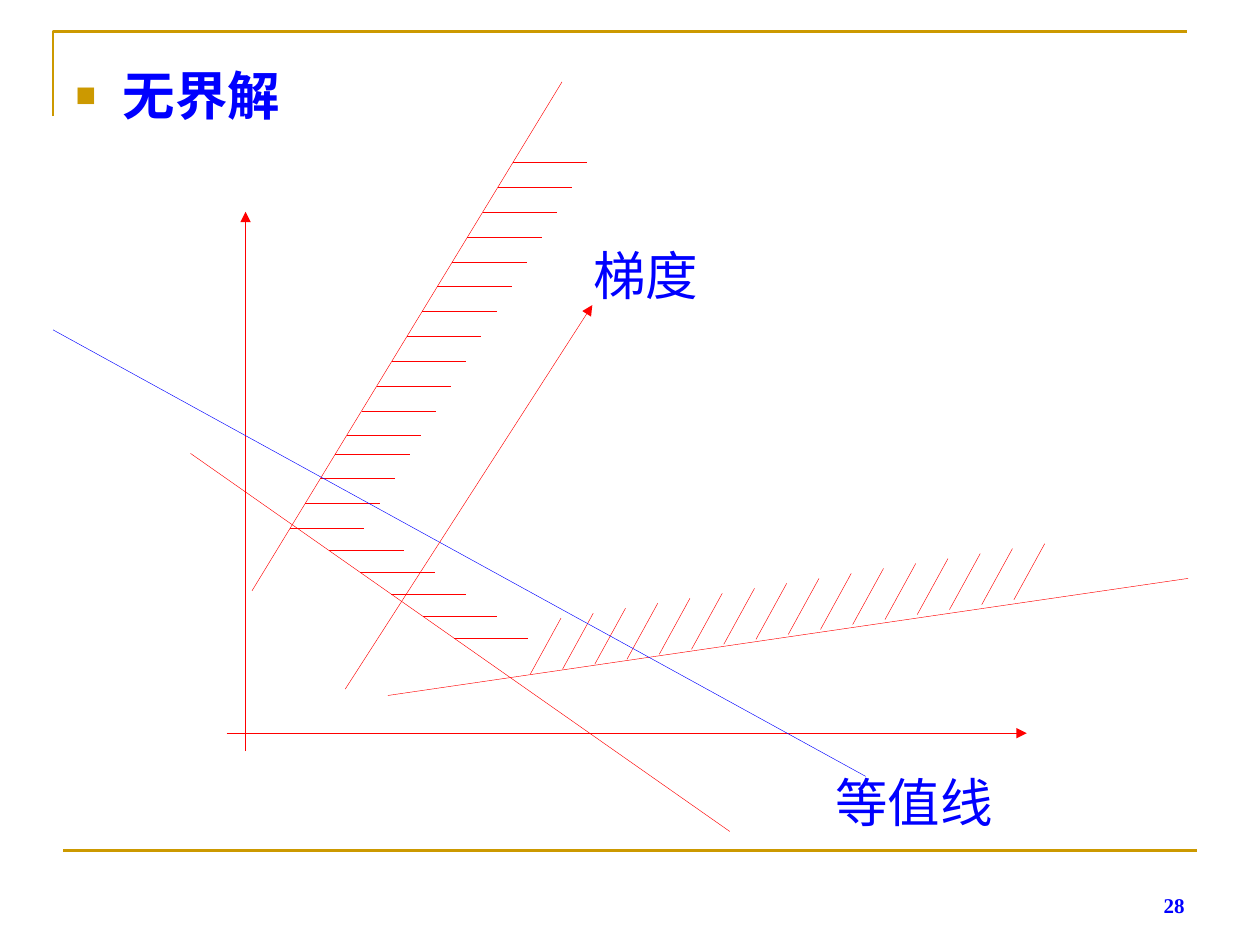
from lxml import etree
from pptx import Presentation
from pptx.dml.color import RGBColor
from pptx.enum import shapes, text
from pptx.oxml import ns
from pptx.util import Cm, Pt

GOLD = RGBColor(0xCC, 0x99, 0x00)
RED = RGBColor(0xFF, 0x00, 0x00)
BLUE = RGBColor(0x00, 0x00, 0xFF)


def add_line(start, end, color=RED, width=0.25, arrow=False):
    line = slide.shapes.add_connector(
        shapes.MSO_CONNECTOR.STRAIGHT, *[Cm(value) for value in (*start, *end)])
    line.line.color.rgb = color
    line.line.width = Pt(width)
    properties = line._element.spPr
    if arrow:
        outline = properties.find(ns.qn("a:ln"))
        etree.SubElement(outline, ns.qn("a:tailEnd"), type="triangle")
    etree.SubElement(properties, ns.qn("a:effectLst"))


def write_text(box, wording, place, size=30, font="Arial", bold=False,
               align=text.PP_ALIGN.LEFT, anchor=text.MSO_ANCHOR.TOP):
    box.left, box.top, box.width, box.height = [Cm(value) for value in place]
    frame = box.text_frame
    frame.text = wording
    frame.word_wrap = True
    frame.auto_size = text.MSO_AUTO_SIZE.NONE
    frame.vertical_anchor = anchor
    para = frame.paragraphs[0]
    para.alignment = align
    span = para.runs[0]
    span.font.name = font
    span.font.size = Pt(size)
    span.font.bold = bold
    span.font.color.rgb = BLUE


deck = Presentation()
deck.slide_width, deck.slide_height = Cm(25.4), Cm(19.05)
slide = deck.slides.add_slide(deck.slide_layouts[5])

builder = slide.shapes.build_freeform(Cm(1.07), Cm(2.34))
builder.add_line_segments([(Cm(1.07), Cm(0.64)), (Cm(23.93), Cm(0.64))], close=False)
corner = builder.convert_to_shape()
corner.shadow.inherit = False
corner.fill.background()
corner.line.color.rgb = GOLD
corner.line.width = Pt(1.5)
add_line((1.27, 17.15), (24.13, 17.15), GOLD, 1.5)

title = slide.shapes.title
write_text(title, "无界解", (1.27, 1.14, 22.86, 2.13), bold=True)
bullet = title.text_frame.paragraphs[0]._p.get_or_add_pPr()
bullet.set("marL", str(Cm(0.95)))
bullet.set("indent", str(-Cm(0.95)))
bullet_color = etree.SubElement(bullet, ns.qn("a:buClr"))
etree.SubElement(bullet_color, ns.qn("a:srgbClr"), val=str(GOLD))
etree.SubElement(bullet, ns.qn("a:buSzPct"), val="65000")
etree.SubElement(bullet, ns.qn("a:buFont"), typeface="Arial")
etree.SubElement(bullet, ns.qn("a:buChar"), char="■")

add_line((4.57, 14.78), (20.7, 14.78), arrow=True)
add_line((4.95, 15.14), (4.95, 4.27), arrow=True)

steep = ((5.08, 11.91), (11.33, 1.65))
falling = ((3.84, 9.14), (14.71, 16.76))
shallow = ((7.82, 14.02), (23.95, 11.66))
for constraint in (falling, steep, shallow):
    add_line(*constraint)

for constraint, first, step, count in (
        (steep, 3.28, 0.5, 12), (steep, 9.15, 0.5, 4), (falling, 11.1, 0.44, 5)):
    (x1, y1), (x2, y2) = constraint
    for index in range(count):
        y = first + step * index
        x = x1 + (y - y1) * (x2 - x1) / (y2 - y1)
        add_line((x, y), (x + 1.5, y))

for index in range(16):
    x, y = 10.69 + 0.65 * index, 13.59 - 0.1 * index
    add_line((x, y), (x + 0.62, y - 1.13))

add_line((1.07, 6.65), (17.45, 15.65), BLUE)
add_line((6.96, 13.89), (11.94, 6.15), arrow=True)

for wording, place in (("梯度", (11.71, 4.78, 3.63, 2.13)),
                       ("等值线", (16.59, 15.39, 4.11, 1.63))):
    write_text(slide.shapes.add_textbox(0, 0, 0, 0), wording, place)
write_text(slide.shapes.add_textbox(0, 0, 0, 0), "28", (18.21, 17.35, 5.92, 1.27),
           size=12, font="Times New Roman", bold=True,
           align=text.PP_ALIGN.RIGHT, anchor=text.MSO_ANCHOR.BOTTOM)

deck.save("out.pptx")
